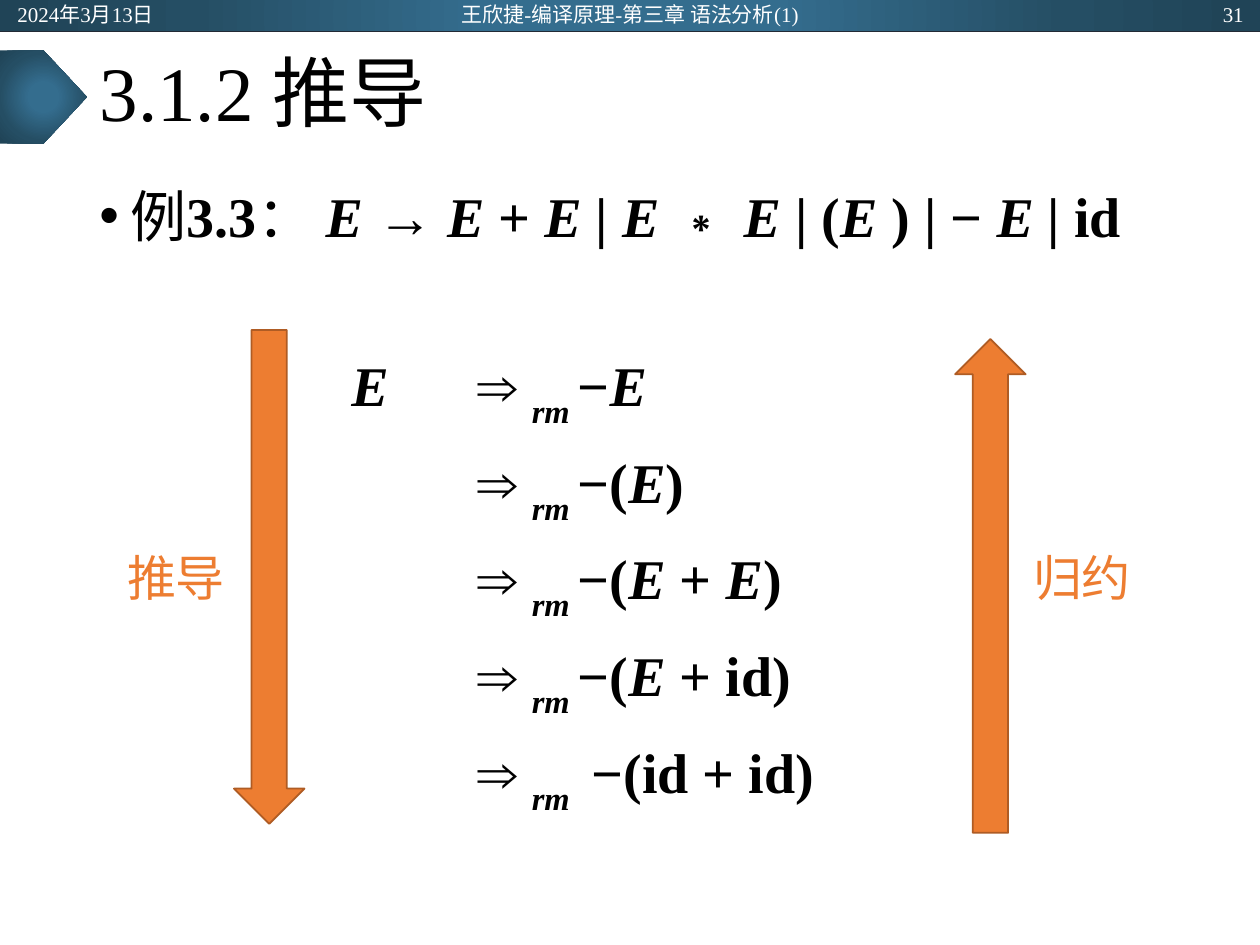
from dataclasses import dataclass

import lxml.etree
import pptx
import pptx.dml.color
import pptx.enum.shapes
import pptx.enum.text
import pptx.oxml.ns
import pptx.util

Pt = pptx.util.Pt
RGBColor = pptx.dml.color.RGBColor
Shape = pptx.enum.shapes.MSO_SHAPE
Align = pptx.enum.text.PP_ALIGN
Anchor = pptx.enum.text.MSO_ANCHOR
qn = pptx.oxml.ns.qn

BLACK = RGBColor(0x00, 0x00, 0x00)
WHITE = RGBColor(0xFF, 0xFF, 0xFF)
ORANGE = RGBColor(0xED, 0x7D, 0x31)
RUST = RGBColor(0xAF, 0x5C, 0x24)
NAVY = RGBColor(0x22, 0x2A, 0x35)
BLUE = RGBColor(0x34, 0x6D, 0x8E)
DEEP_BLUE = RGBColor(0x25, 0x4E, 0x64)
DARK_BLUE = RGBColor(0x20, 0x44, 0x57)
GLOW = ((0, BLUE), (23, BLUE), (69, DEEP_BLUE), (97, DARK_BLUE))
FONT = "Times New Roman"


@dataclass(frozen=True)
class Box:
    left: float
    top: float
    width: float
    height: float

    def lengths(self) -> tuple:
        return Pt(self.left), Pt(self.top), Pt(self.width), Pt(self.height)


@dataclass(frozen=True)
class Span:
    text: str
    italic: bool = False
    bold: bool = True
    subscript: bool = False


@dataclass(frozen=True)
class Label:
    text: str
    box: Box
    size: float
    color: RGBColor
    align: Align = Align.LEFT
    anchor: Anchor = Anchor.TOP
    wrap: bool = True


@dataclass(frozen=True)
class Arrow:
    box: Box
    rotation: float


E = Span("E", italic=True)
E_SPACED = Span("E ", italic=True)
RM = Span("rm ", italic=True, subscript=True)

GRAMMAR = (
    Span("例", bold=False), Span("3.3"), Span("： ", bold=False),
    E_SPACED, Span("→ "), E_SPACED, Span("+"), Span(" E ", italic=True),
    Span("| "), E_SPACED, Span("∗ "), E, Span(" | ("), E,
    Span(" ) | − "), E, Span(" | id"),
)
DERIVATION = (
    (Span("−"), E),
    (Span("−("), E, Span(")")),
    (Span("−("), E_SPACED, Span("+ "), E, Span(")")),
    (Span("−("), E, Span(" + id)")),
    (Span(" −(id + id)"),),
)
HEADER = (
    Label("2024年3月13日", Box(2.9, 0.7, 162, 14.4), 12, WHITE, anchor=Anchor.MIDDLE),
    Label("王欣捷-编译原理-第三章 语法分析(1)", Box(238.3, 0.7, 243.4, 14.4), 12, WHITE,
          Align.CENTER, Anchor.MIDDLE),
    Label("31", Box(555.8, 0.7, 162, 14.4), 12, WHITE, Align.RIGHT, Anchor.MIDDLE),
)
DIRECTIONS = (
    Label("推导", Box(65.5, 309.6, 71.3, 41), 28, ORANGE, wrap=False),
    Label("归约", Box(583.2, 309.6, 71.3, 41), 28, ORANGE, wrap=False),
)
ARROWS = (
    Arrow(Box(133.7, 188.6, 40.3, 282.2), 0),
    Arrow(Box(545.8, 193.7, 40.3, 282.2), 180),
)


def format_font(font, size: float, color: RGBColor) -> None:
    font.name = FONT
    font.size = Pt(size)
    font.color.rgb = color


def add_glowing_shape(slide, kind: Shape, box: Box) -> None:
    banner = slide.shapes.add_shape(kind, *box.lengths())
    banner.shadow.inherit = False
    banner.line.fill.background()
    banner.fill.gradient()
    gradient = banner._element.spPr.find(qn("a:gradFill"))
    for child in list(gradient):
        gradient.remove(child)
    stops = lxml.etree.SubElement(gradient, qn("a:gsLst"))
    for position, color in GLOW:
        stop = lxml.etree.SubElement(stops, qn("a:gs"), pos=str(position * 1000))
        lxml.etree.SubElement(stop, qn("a:srgbClr"), val=str(color))
    circle = lxml.etree.SubElement(gradient, qn("a:path"), path="circle")
    center = dict.fromkeys("ltrb", "50000")
    lxml.etree.SubElement(circle, qn("a:fillToRect"), center)


def add_header_rule(slide) -> None:
    rule = slide.shapes.add_connector(
        pptx.enum.shapes.MSO_CONNECTOR.STRAIGHT, Pt(0), Pt(18), Pt(720), Pt(18))
    rule.line.color.rgb = NAVY
    rule.line.width = Pt(0.5)
    lxml.etree.SubElement(rule._element.spPr, qn("a:effectLst"))


def add_label(slide, label: Label) -> None:
    frame = slide.shapes.add_textbox(*label.box.lengths()).text_frame
    frame.word_wrap = label.wrap
    frame.vertical_anchor = label.anchor
    frame.text = label.text
    paragraph = frame.paragraphs[0]
    paragraph.alignment = label.align
    format_font(paragraph.runs[0].font, label.size, label.color)


def add_arrow(slide, arrow: Arrow) -> None:
    direction = slide.shapes.add_shape(Shape.DOWN_ARROW, *arrow.box.lengths())
    direction.rotation = arrow.rotation
    direction.shadow.inherit = False
    direction.fill.solid()
    direction.fill.fore_color.rgb = ORANGE
    direction.line.color.rgb = RUST
    direction.line.width = Pt(1)


def fill_paragraph(paragraph, spans: tuple, pitch: float, before: float) -> None:
    paragraph.line_spacing = Pt(pitch)
    paragraph.space_before = Pt(before)
    for span in spans:
        run = paragraph.add_run()
        run.text = span.text
        format_font(run.font, 32, BLACK)
        run.font.bold = span.bold
        run.font.italic = span.italic
        if span.subscript:
            run._r.get_or_add_rPr().set("baseline", "-30000")


def add_example(slide) -> None:
    frame = slide.shapes.add_textbox(*Box(49.7, 100.4, 620.6, 387.4).lengths()).text_frame
    frame.word_wrap = True
    frame.margin_right = Pt(12)
    grammar = frame.paragraphs[0]
    properties = grammar._p.get_or_add_pPr()
    properties.set("marL", str(Pt(18)))
    properties.set("indent", str(Pt(-18)))
    lxml.etree.SubElement(properties, qn("a:buFont"), typeface="Arial")
    lxml.etree.SubElement(properties, qn("a:buChar"), char="•")
    fill_paragraph(grammar, GRAMMAR, 38.3, 0)
    for index, result in enumerate(DERIVATION):
        step = frame.add_paragraph()
        tabs = lxml.etree.SubElement(step._p.get_or_add_pPr(), qn("a:tabLst"))
        for position in (144, 216):
            lxml.etree.SubElement(tabs, qn("a:tab"), pos=str(Pt(position)), algn="l")
        start = Span("\t\t" if index else "\tE\t", italic=True)
        fill_paragraph(step, (start, Span("⇒ "), RM, *result), 45.3, 10 if index else 58)


def format_title(title) -> None:
    title.left, title.top, title.width, title.height = Box(49.7, 18, 620.6, 74.9).lengths()
    frame = title.text_frame
    frame.text = "3.1.2 推导"
    frame.vertical_anchor = Anchor.MIDDLE
    heading = frame.paragraphs[0]
    heading.alignment = Align.LEFT
    heading.line_spacing = 0.9
    format_font(heading.runs[0].font, 44, BLACK)


def main() -> None:
    deck = pptx.Presentation()
    deck.slide_width, deck.slide_height = Pt(720), Pt(540)
    slide = deck.slides.add_slide(deck.slide_layouts.get_by_name("Title Only"))
    add_glowing_shape(slide, Shape.RECTANGLE, Box(0, 0, 720, 18))
    add_header_rule(slide)
    add_glowing_shape(slide, Shape.PENTAGON, Box(0, 28.8, 49.7, 53.3))
    format_title(slide.shapes.title)
    add_example(slide)
    for arrow in ARROWS:
        add_arrow(slide, arrow)
    for label in HEADER + DIRECTIONS:
        add_label(slide, label)
    deck.save("out.pptx")


if __name__ == "__main__":
    main()
